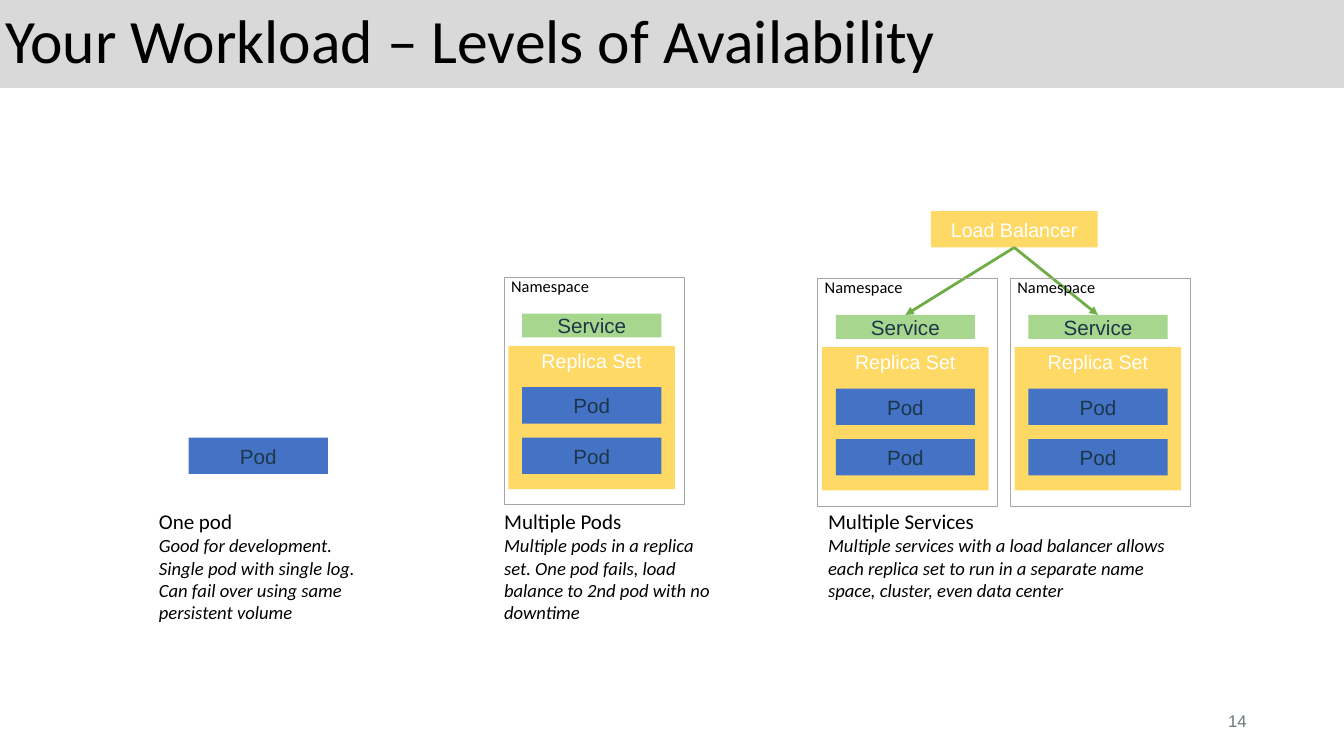
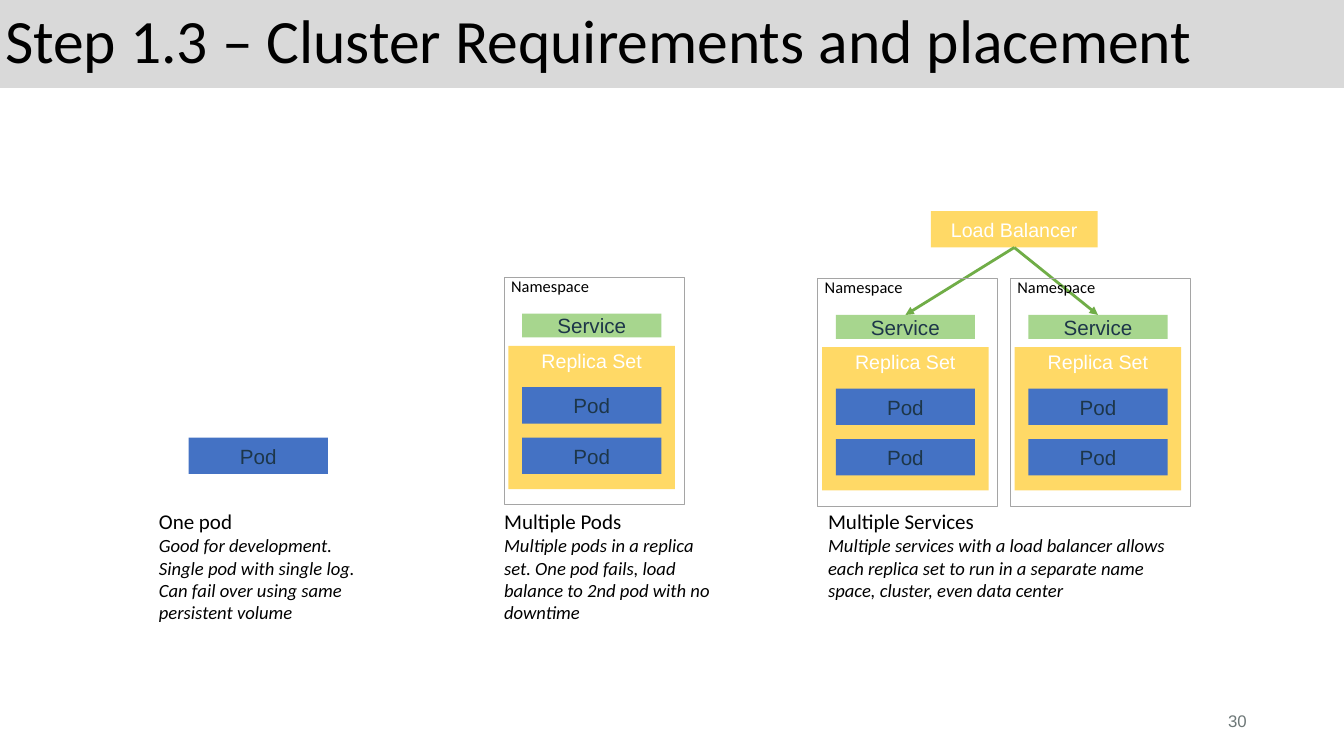
from lxml.etree import SubElement
from pptx import Presentation
from pptx.dml.color import RGBColor
from pptx.enum.shapes import MSO_CONNECTOR, MSO_SHAPE
from pptx.enum.text import MSO_ANCHOR, MSO_AUTO_SIZE, PP_ALIGN
from pptx.oxml.ns import qn
from pptx.util import Pt

BLACK, WHITE, NAVY, GREY = "000000", "FFFFFF", "1D3649", "6D7777"
BLUE, YELLOW, GREEN = "4472C4", "FFD966", "A7D68E"
BAND, FRAME, ARROW = "D9D9D9", "A5A5A5", "70AD47"
HEADING_FONT, LABEL_FONT = "Calibri", "Arial"

POD_SIZE = (99.4, 26)
SERVICE_SIZE = (99.4, 17)
REPLICA_SIZE = (119, 102.4)
FRAME_SIZE = (128.4, 162.4)
BALANCER_SIZE = (119, 26)
INNER_LEFT = 13

TITLES = [
    ("Your Workload – Levels of Availability", "14"),
    ("Step 1.3 – Cluster Requirements and placement", "30"),
]
CAPTIONS = [
    (106.4, 156, "One pod",
     "Good for development. Single pod with single log. "
     "Can fail over using same persistent volume"),
    (353, 166, "Multiple Pods",
     "Multiple pods in a replica set. One pod fails, load balance "
     "to 2nd pod with no downtime"),
    (584.4, 265, "Multiple Services",
     "Multiple services with a load balancer allows each replica set "
     "to run in a separate name space, cluster, even data center"),
]


def color(value):
    return RGBColor.from_string(value)


def add_span(para, text, size, font, ink, italic=False):
    span = para.add_run()
    span.text = text
    span.font.size = Pt(size)
    span.font.name = font
    span.font.color.rgb = color(ink)
    span.font.italic = italic


def set_frame(frame, anchor, horizontal, vertical, wrap=True):
    frame.auto_size = MSO_AUTO_SIZE.NONE
    frame.word_wrap = wrap
    frame.vertical_anchor = anchor
    frame.margin_left = frame.margin_right = Pt(horizontal)
    frame.margin_top = frame.margin_bottom = Pt(vertical)


def add_title(page, text):
    title = page.shapes.title
    title.left, title.top, title.width, title.height = Pt(0), Pt(0), Pt(960), Pt(62.8)
    title.fill.solid()
    title.fill.fore_color.rgb = color(BAND)
    set_frame(title.text_frame, MSO_ANCHOR.MIDDLE, 3.6, 3.6)
    para = title.text_frame.paragraphs[0]
    para.alignment = PP_ALIGN.LEFT
    para.line_spacing = 0.9
    add_span(para, text, 44, HEADING_FONT, BLACK)


def add_page_number(page, number):
    box = page.shapes.add_textbox(Pt(872.6), Pt(504), Pt(21.6), Pt(21.6))
    set_frame(box.text_frame, MSO_ANCHOR.MIDDLE, 3.6, 3.6, wrap=False)
    para = box.text_frame.paragraphs[0]
    para.alignment = PP_ALIGN.RIGHT
    add_span(para, number, 12, LABEL_FONT, GREY)


def add_caption(page, left, width, heading, detail):
    box = page.shapes.add_textbox(Pt(left), Pt(360), Pt(width), Pt(90))
    set_frame(box.text_frame, MSO_ANCHOR.TOP, 7.2, 3.6)
    add_span(box.text_frame.paragraphs[0], heading, 15, HEADING_FONT, BLACK)
    add_span(box.text_frame.add_paragraph(), detail, 13.3, HEADING_FONT, BLACK, italic=True)


def add_rectangle(shapes, left, top, size):
    box = shapes.add_shape(MSO_SHAPE.RECTANGLE, Pt(left), Pt(top), *map(Pt, size))
    box.shadow.inherit = False
    return box


def add_block(shapes, left, top, size, text, fill, ink=NAVY, text_size=14.7,
              anchor=MSO_ANCHOR.MIDDLE, vertical=0):
    box = add_rectangle(shapes, left, top, size)
    box.fill.solid()
    box.fill.fore_color.rgb = color(fill)
    box.line.fill.background()
    set_frame(box.text_frame, anchor, 0, vertical)
    para = box.text_frame.paragraphs[0]
    para.alignment = PP_ALIGN.CENTER
    add_span(para, text, text_size, LABEL_FONT, ink)
    return box


def add_pod(shapes, left, top):
    add_block(shapes, left, top, POD_SIZE, "Pod", BLUE)


def add_namespace(page, left, top):
    shapes = page.shapes.add_group_shape().shapes
    add_block(shapes, left + 3.2, top + 49, REPLICA_SIZE, "Replica Set", YELLOW,
              WHITE, 14, MSO_ANCHOR.TOP, 2)
    for offset in (78.6, 114.6):
        add_pod(shapes, left + INNER_LEFT, top + offset)
    service = add_block(shapes, left + INNER_LEFT, top + 26, SERVICE_SIZE, "Service", GREEN)
    border = add_rectangle(shapes, left, top, FRAME_SIZE)
    border.fill.background()
    border.line.color.rgb = color(FRAME)
    border.line.width = Pt(0.25)
    label = shapes.add_textbox(Pt(left - 2), Pt(top - 4.6), Pt(70.6), Pt(21.6))
    set_frame(label.text_frame, MSO_ANCHOR.TOP, 7.2, 3.6, wrap=False)
    add_span(label.text_frame.paragraphs[0], "Namespace", 11.7, HEADING_FONT, BLACK)
    return service


def add_arrow(page, source):
    arrow = page.shapes.add_connector(MSO_CONNECTOR.STRAIGHT, Pt(0), Pt(0), Pt(0), Pt(0))
    arrow.begin_connect(source, 2)
    arrow.line.color.rgb = color(ARROW)
    arrow.line.width = Pt(2)
    SubElement(arrow.line._get_or_add_ln(), qn("a:tailEnd"), type="triangle")
    SubElement(arrow._element.spPr, qn("a:effectLst"))
    return arrow


def add_availability_levels(page):
    for caption in CAPTIONS:
        add_caption(page, *caption)
    add_pod(page.shapes, 134.8, 312.6)
    add_namespace(page, 360, 198)
    balancer = add_block(page.shapes, 665, 150.8, BALANCER_SIZE, "Load Balancer",
                         YELLOW, WHITE, 14)
    arrows = [add_arrow(page, balancer) for _ in range(2)]
    for arrow, left in zip(arrows, (584, 721.6)):
        arrow.end_connect(add_namespace(page, left, 199), 0)


def main():
    deck = Presentation()
    deck.slide_width, deck.slide_height = Pt(960), Pt(540)
    for title, number in TITLES:
        page = deck.slides.add_slide(deck.slide_layouts[5])
        add_title(page, title)
        add_page_number(page, number)
        add_availability_levels(page)
    deck.save("out.pptx")


if __name__ == "__main__":
    main()
